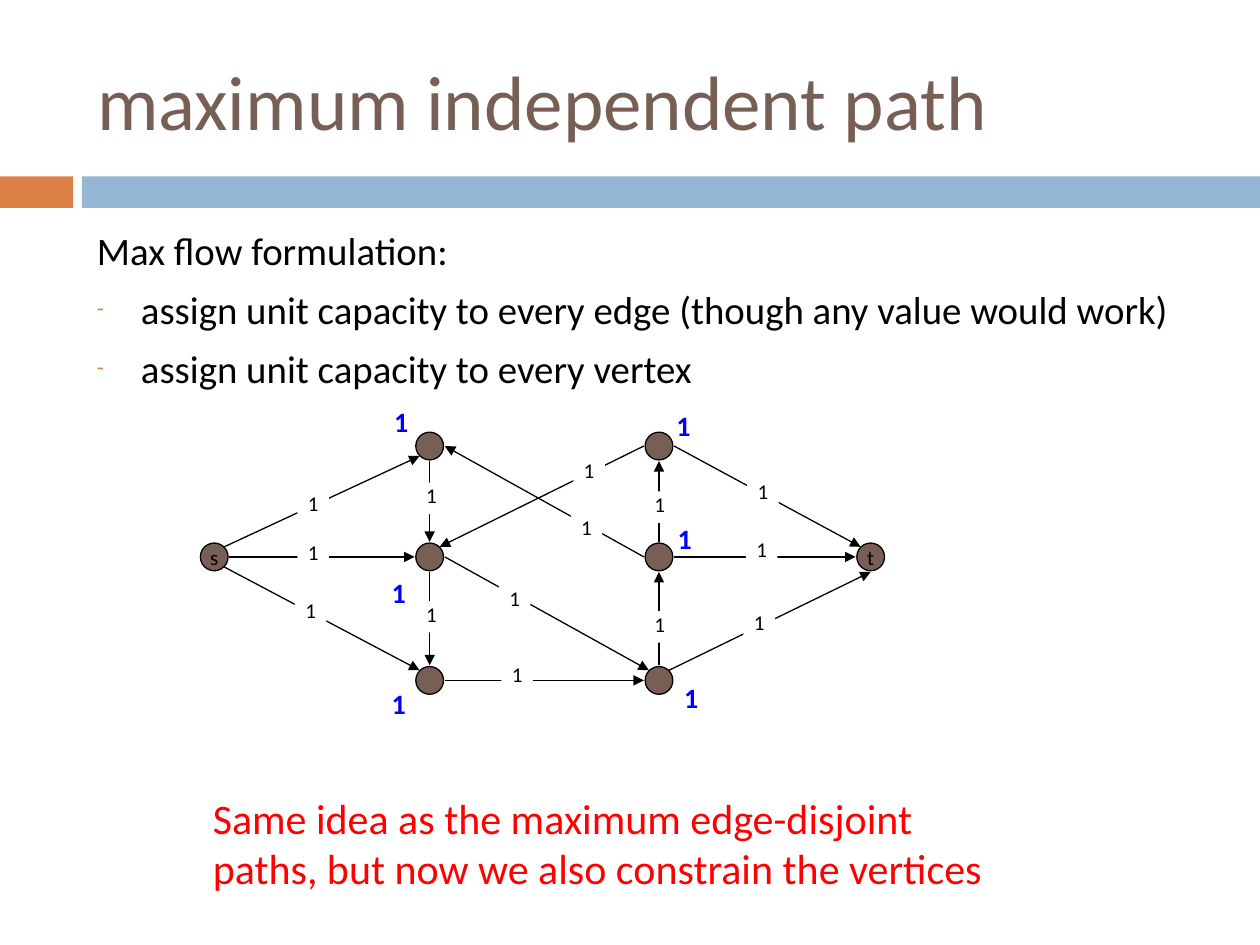
"""Build a slide that states maximum independent path as a max flow problem."""
from typing import NamedTuple

from lxml import etree
from pptx import Presentation
from pptx import util as u
from pptx.dml.color import RGBColor
from pptx.enum import shapes, text
from pptx.oxml import ns

FONT = "Calibri"
BLACK = RGBColor(0x00, 0x00, 0x00)
WHITE = RGBColor(0xFF, 0xFF, 0xFF)
BROWN = RGBColor(0x77, 0x5F, 0x55)
ORANGE = RGBColor(0xDD, 0x80, 0x47)
LIGHT_BLUE = RGBColor(0x94, 0xB6, 0xD2)
BLUE = RGBColor(0x00, 0x00, 0xFF)
RED = RGBColor(0xFF, 0x00, 0x00)

RADIUS = 0.11
LABEL_WIDTH = 0.25
SIDE, DIAGONAL = 0.12, 0.08
SITES = {
    "N": (0, -SIDE), "S": (0, SIDE), "W": (-SIDE, 0), "E": (SIDE, 0),
    "NW": (-DIAGONAL, -DIAGONAL), "NE": (DIAGONAL, -DIAGONAL),
    "SW": (-DIAGONAL, DIAGONAL), "SE": (DIAGONAL, DIAGONAL),
}


class Vertex(NamedTuple):
    x: float
    y: float
    name: str = ""
    capacity_at: tuple[float, float] | None = None


class Edge(NamedTuple):
    start: str
    leaves: str
    end: str
    enters: str
    label_at: tuple[float, float]


LEFT, RIGHT = 3.41, 5.23
TOP, MIDDLE, BOTTOM = 3.54, 4.42, 5.40
VERTICES = {
    "s": Vertex(1.70, MIDDLE, "s"),
    "a": Vertex(LEFT, TOP, capacity_at=(3.06, 3.21)),
    "b": Vertex(LEFT, MIDDLE, capacity_at=(3.04, 4.57)),
    "c": Vertex(LEFT, BOTTOM, capacity_at=(3.04, 5.45)),
    "d": Vertex(RIGHT, TOP, capacity_at=(5.30, 3.24)),
    "e": Vertex(RIGHT, MIDDLE, capacity_at=(5.31, 4.14)),
    "f": Vertex(RIGHT, BOTTOM, capacity_at=(5.36, 5.40)),
    "t": Vertex(6.91, MIDDLE, "t"),
}
EDGES = [
    Edge("s", "NE", "a", "SW", (2.36, 3.89)),
    Edge("s", "E", "b", "W", (2.36, 4.28)),
    Edge("s", "SE", "c", "NW", (2.34, 4.74)),
    Edge("a", "S", "b", "N", (3.30, 3.83)),
    Edge("b", "S", "c", "N", (3.30, 4.77)),
    Edge("b", "E", "f", "NW", (3.96, 4.65)),
    Edge("c", "E", "f", "W", (3.98, 5.25)),
    Edge("e", "W", "a", "E", (4.53, 4.08)),
    Edge("d", "W", "b", "NE", (4.55, 3.63)),
    Edge("e", "N", "d", "S", (5.11, 3.90)),
    Edge("f", "N", "e", "S", (5.11, 4.85)),
    Edge("d", "E", "t", "NW", (5.93, 3.80)),
    Edge("e", "E", "t", "W", (5.92, 4.26)),
    Edge("f", "NE", "t", "S", (5.90, 4.84)),
]


def write(paragraph, words: str, *, size: float, color=BLACK, bold=False,
          align=text.PP_ALIGN.LEFT, before: float = 0, dash=False) -> None:
    """Fill a paragraph with formatted words."""
    paragraph.text = words
    paragraph.alignment = align
    paragraph.space_before = u.Pt(before)
    if dash:
        properties = paragraph._p.get_or_add_pPr()
        properties.set("marL", str(u.Inches(0.35)))
        properties.set("indent", str(u.Inches(-0.35)))
        bullet_color = etree.SubElement(properties, ns.qn("a:buClr"))
        etree.SubElement(bullet_color, ns.qn("a:srgbClr"), val=str(ORANGE))
        etree.SubElement(properties, ns.qn("a:buSzPct"), val="60000")
        etree.SubElement(properties, ns.qn("a:buFont"), typeface=FONT)
        etree.SubElement(properties, ns.qn("a:buChar"), char="-")
    font = paragraph.font
    font.name, font.size, font.bold = FONT, u.Pt(size), bold
    font.color.rgb = color


def add_box(slide, left: float, top: float, width: float, height: float):
    """Add a wrapping text box and return it."""
    box = slide.shapes.add_textbox(*map(u.Inches, (left, top, width, height)))
    box.text_frame.word_wrap = True
    return box


def add_filled(slide, kind, bounds: tuple, fill: RGBColor):
    """Add a preset shape without outline or shadow and return it."""
    shape = slide.shapes.add_shape(kind, *map(u.Inches, bounds))
    shape.shadow.inherit = False
    shape.fill.solid()
    shape.fill.fore_color.rgb = fill
    shape.line.fill.background()
    return shape


def add_vertex(slide, vertex: Vertex) -> None:
    """Draw a vertex centred on its point."""
    bounds = (vertex.x - RADIUS, vertex.y - RADIUS, 2 * RADIUS, 2 * RADIUS)
    circle = add_filled(slide, shapes.MSO_SHAPE.OVAL, bounds, BROWN)
    circle.line.color.rgb = BLACK
    circle.line.width = u.Pt(0.75)
    if vertex.name:
        frame = circle.text_frame
        frame.word_wrap = False
        frame.vertical_anchor = text.MSO_ANCHOR.MIDDLE
        write(frame.paragraphs[0], vertex.name, size=12, align=text.PP_ALIGN.CENTER)


def add_edge(slide, edge: Edge) -> None:
    """Draw an arrow between two vertices."""
    points = []
    for key, site in ((edge.start, edge.leaves), (edge.end, edge.enters)):
        dx, dy = SITES[site]
        points += [VERTICES[key].x + dx, VERTICES[key].y + dy]
    arrow = slide.shapes.add_connector(
        shapes.MSO_CONNECTOR.STRAIGHT, *map(u.Inches, points))
    arrow.line.color.rgb = BLACK
    arrow.line.width = u.Pt(0.75)
    etree.SubElement(arrow.line._get_or_add_ln(), ns.qn("a:tailEnd"), type="triangle")
    etree.SubElement(arrow._element.spPr, ns.qn("a:effectLst"))


def add_capacity(slide, at: tuple[float, float], height: float = 0.2, **style) -> None:
    """Place a unit capacity on a white ground."""
    label = add_box(slide, *at, LABEL_WIDTH, height)
    label.fill.solid()
    label.fill.fore_color.rgb = WHITE
    frame = label.text_frame
    frame.margin_left = frame.margin_right = frame.margin_top = frame.margin_bottom = 0
    write(frame.paragraphs[0], "1", align=text.PP_ALIGN.CENTER, **style)


def add_network(slide) -> None:
    """Draw the flow network with its edge and vertex capacities."""
    for vertex in VERTICES.values():
        add_vertex(slide, vertex)
    for edge in EDGES:
        add_edge(slide, edge)
    for edge in EDGES:
        height = 0.25 if edge.leaves in ("N", "S") else 0.2
        add_capacity(slide, edge.label_at, height, size=12)
    for vertex in VERTICES.values():
        if vertex.capacity_at:
            add_capacity(slide, vertex.capacity_at, size=16, color=BLUE, bold=True)


def main() -> None:
    """Assemble and save the slide."""
    deck = Presentation()
    deck.slide_width, deck.slide_height = u.Inches(10), u.Inches(7.5)
    slide = deck.slides.add_slide(deck.slide_layouts[5])

    title = slide.shapes.title
    title.left, title.top = u.Inches(0.67), u.Inches(0.25)
    title.width, title.height = u.Inches(8.92), u.Inches(1.08)
    title.text_frame.auto_size = text.MSO_AUTO_SIZE.NONE
    title.text_frame.vertical_anchor = text.MSO_ANCHOR.MIDDLE
    write(title.text_frame.paragraphs[0], "maximum independent path", size=44, color=BROWN)

    for left, width, color in ((0, 0.58, ORANGE), (0.65, 9.35, LIGHT_BLUE)):
        add_filled(slide, shapes.MSO_SHAPE.RECTANGLE, (left, 1.4, width, 0.25), color)

    formulation = add_box(slide, 0.67, 1.75, 8.92, 1.18).text_frame
    write(formulation.paragraphs[0], "Max flow formulation:", size=22.2)
    for step in ("assign unit capacity to every edge (though any value would work)",
                 "assign unit capacity to every vertex"):
        write(formulation.add_paragraph(), step, size=22.2, before=7, dash=True)

    add_network(slide)

    takeaway = add_box(slide, 1.59, 6.24, 6.59, 0.91).text_frame
    write(takeaway.paragraphs[0],
          "Same idea as the maximum edge-disjoint paths, "
          "but now we also constrain the vertices", size=24, color=RED)
    deck.save("out.pptx")


if __name__ == "__main__":
    main()
